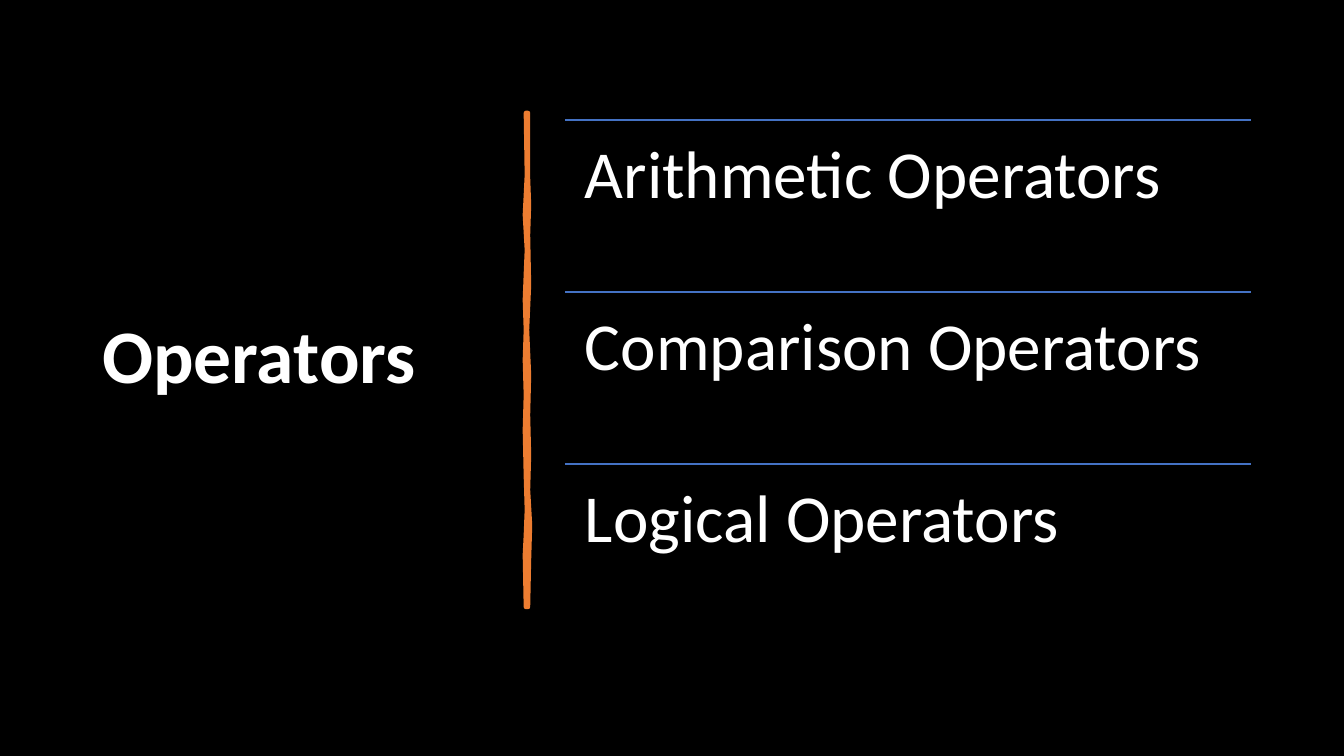
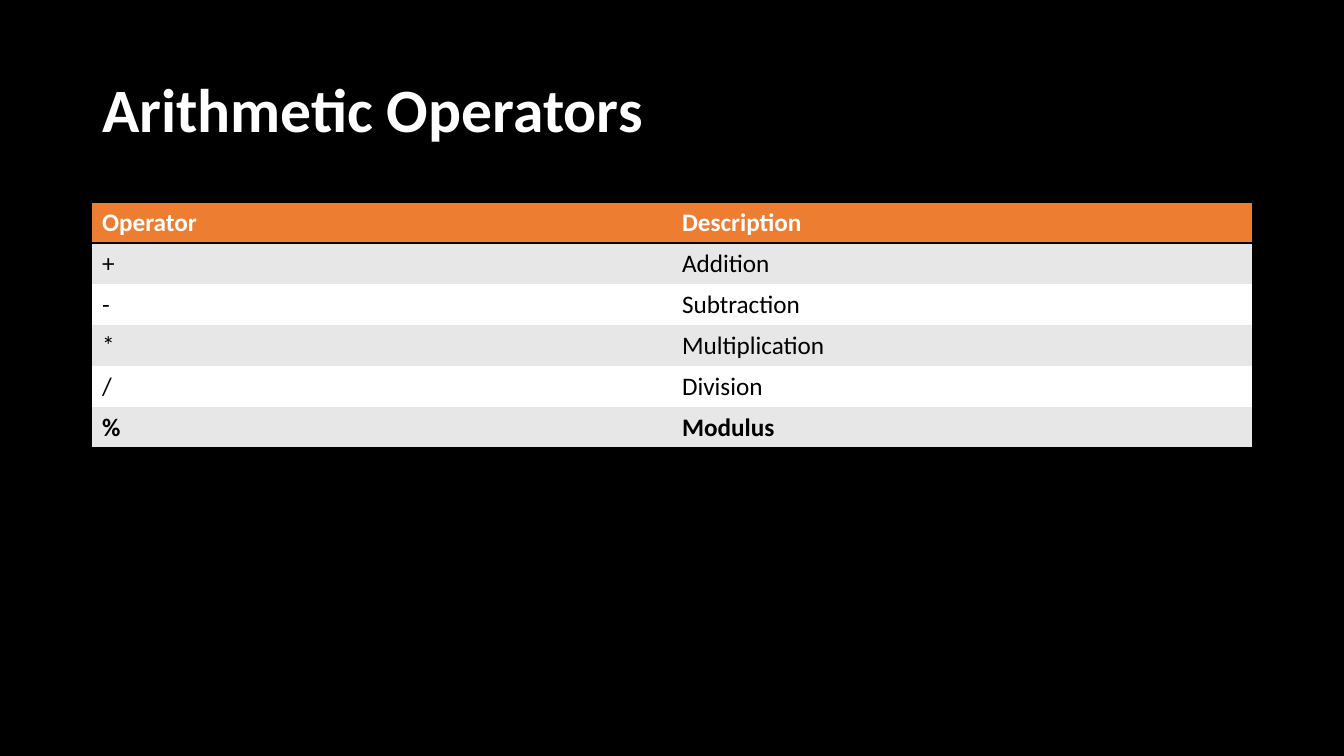
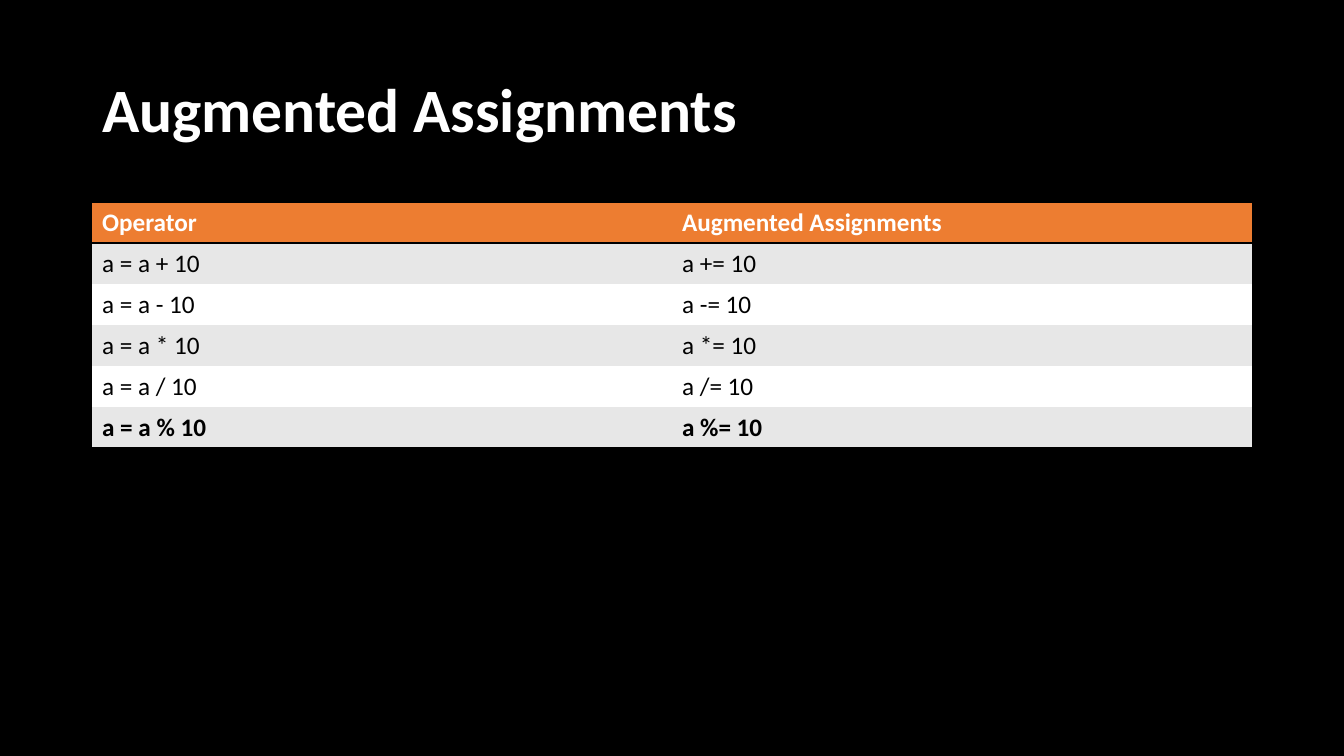
"""Build three slides on operators: an overview and two operator tables."""
from pptx import Presentation
from pptx.dml.color import RGBColor
from pptx.enum.shapes import MSO_CONNECTOR
from pptx.enum.text import MSO_ANCHOR, PP_ALIGN
from pptx.oxml.ns import qn
from pptx.util import Pt
from lxml.etree import SubElement

BLACK = RGBColor(0x00, 0x00, 0x00)
WHITE = RGBColor(0xFF, 0xFF, 0xFF)
ORANGE = RGBColor(0xED, 0x7D, 0x31)
BLUE = RGBColor(0x44, 0x72, 0xC4)
GRAY = RGBColor(0xE7, 0xE7, 0xE7)
FONT = "Calibri"
NO_GRID_STYLE = "{2D5ABB26-0587-4C30-8999-92F81FD0307C}"

SLIDE_WIDTH, SLIDE_HEIGHT = 1344, 756
SCALE = 12192000 / SLIDE_WIDTH

OVERVIEW_TITLE = "Operators"
OVERVIEW_TITLE_BOX = (92, 60, 397, 599)
TOPICS = ["Arithmetic Operators", "Comparison Operators", "Logical Operators"]
TOPIC_LEFT, TOPIC_TOP, TOPIC_WIDTH, TOPIC_HEIGHT = 565, 120, 686, 172
TOPIC_INSET = 20

BRUSH_RIGHT = [
    (528, 113), (528, 178), (529, 205), (528, 235), (529, 285), (527, 330), (529, 375),
    (528, 415), (529, 455), (528, 490), (530, 525), (529, 560), (528, 607),
]
BRUSH_LEFT = [
    (526, 607), (525, 555), (526, 535), (527, 510), (526, 476), (525, 430), (526, 395),
    (525, 360), (526, 330), (525, 300), (526, 274), (527, 250), (525, 215), (527, 175),
    (526, 113),
]

TABLE_TITLE_BOX = (92, 40, 1160, 146)
TABLE_LEFT, TABLE_TOP, COLUMN_WIDTH, ROW_HEIGHT = 92, 202, 580, 41
TABLES = [
    ("Arithmetic Operators", [
        ("Operator", "Description"),
        ("+", "Addition"),
        ("-", "Subtraction"),
        ("*", "Multiplication"),
        ("/", "Division"),
        ("%", "Modulus"),
    ]),
    ("Augmented Assignments", [
        ("Operator", "Augmented Assignments"),
        ("a = a + 10", "a += 10"),
        ("a = a - 10", "a -= 10"),
        ("a = a * 10", "a *= 10"),
        ("a = a / 10", "a /= 10"),
        ("a = a % 10", "a %= 10"),
    ]),
]


def px(*lengths):
    return [round(length * SCALE) for length in lengths]


def write(text_frame, text, size, color, bold=False):
    text_frame.text = text
    paragraph = text_frame.paragraphs[0]
    paragraph.alignment = PP_ALIGN.LEFT
    font = paragraph.font
    font.name, font.size, font.bold = FONT, Pt(size), bold
    font.color.rgb = color
    return paragraph


def add_titled_slide(presentation, text, box, size):
    slide = presentation.slides.add_slide(presentation.slide_layouts[5])
    title = slide.shapes.title
    title.left, title.top, title.width, title.height = px(*box)
    title.text_frame.vertical_anchor = MSO_ANCHOR.MIDDLE
    write(title.text_frame, text, size, WHITE, True).line_spacing = 0.9
    return slide


def add_brush_stroke(slide):
    outline = BRUSH_RIGHT + BRUSH_LEFT
    builder = slide.shapes.build_freeform(*outline[0], scale=SCALE)
    builder.add_line_segments(outline[1:], close=True)
    stroke = builder.convert_to_shape()
    stroke.shadow.inherit = False
    stroke.fill.solid()
    stroke.fill.fore_color.rgb = ORANGE
    stroke.line.color.rgb = ORANGE
    stroke.line.width = Pt(3.25)
    SubElement(stroke.line._get_or_add_ln(), qn("a:round"))


def add_topic(slide, index, text):
    top = TOPIC_TOP + index * TOPIC_HEIGHT
    rule = slide.shapes.add_connector(
        MSO_CONNECTOR.STRAIGHT, *px(TOPIC_LEFT, top, TOPIC_LEFT + TOPIC_WIDTH, top))
    rule.line.color.rgb = BLUE
    rule.line.width = Pt(1)
    SubElement(rule._element.spPr, qn("a:effectLst"))
    box = slide.shapes.add_textbox(*px(TOPIC_LEFT, top, TOPIC_WIDTH, TOPIC_HEIGHT))
    frame = box.text_frame
    frame.word_wrap = True
    frame.margin_left, frame.margin_top, frame.margin_right, frame.margin_bottom = px(
        *[TOPIC_INSET] * 4)
    write(frame, text, 48, WHITE).line_spacing = 0.9


def add_border(cell, side):
    line = SubElement(cell._tc.get_or_add_tcPr(), qn(f"a:{side}"), w=str(Pt(2)))
    fill = SubElement(line, qn("a:solidFill"))
    SubElement(fill, qn("a:srgbClr"), val=str(BLACK))


def add_operator_table(slide, rows):
    last = len(rows) - 1
    table = slide.shapes.add_table(
        len(rows), 2,
        *px(TABLE_LEFT, TABLE_TOP, 2 * COLUMN_WIDTH, len(rows) * ROW_HEIGHT)).table
    table._tbl.tblPr.find(qn("a:tableStyleId")).text = NO_GRID_STYLE
    for row_index, row in enumerate(rows):
        header = row_index == 0
        for column_index, text in enumerate(row):
            cell = table.cell(row_index, column_index)
            if header:
                add_border(cell, "lnT")
            if row_index in (0, last):
                add_border(cell, "lnB")
            cell.fill.solid()
            cell.fill.fore_color.rgb = ORANGE if header else GRAY if row_index % 2 else WHITE
            write(cell.text_frame, text, 18, WHITE if header else BLACK, row_index in (0, last))


def main():
    presentation = Presentation()
    presentation.slide_width, presentation.slide_height = px(SLIDE_WIDTH, SLIDE_HEIGHT)
    background = presentation.slide_master.background.fill
    background.solid()
    background.fore_color.rgb = BLACK

    overview = add_titled_slide(presentation, OVERVIEW_TITLE, OVERVIEW_TITLE_BOX, 54)
    add_brush_stroke(overview)
    for index, topic in enumerate(TOPICS):
        add_topic(overview, index, topic)

    for title, rows in TABLES:
        slide = add_titled_slide(presentation, title, TABLE_TITLE_BOX, 44)
        add_operator_table(slide, rows)

    presentation.save("out.pptx")


if __name__ == "__main__":
    main()
